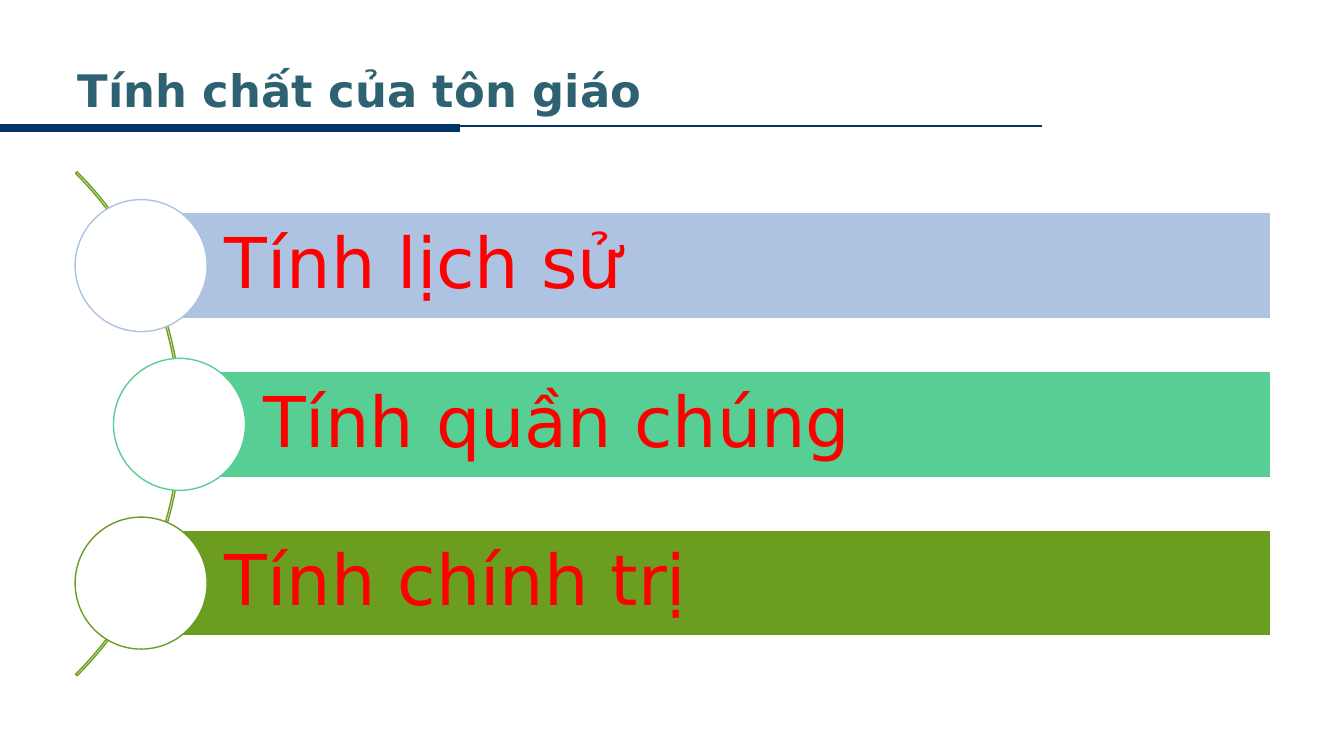
"""Build a slide listing the three characteristics of religion."""
from lxml import etree
from pptx import Presentation
from pptx.dml.color import RGBColor
from pptx.enum import shapes, text
from pptx.oxml import ns
from pptx.util import Inches, Pt

TITLE = "Tính chất của tôn giáo"
TRAITS = [
    ("Tính lịch sử", "AEC2E1", 1.4),
    ("Tính quần chúng", "57CF94", 1.78),
    ("Tính chính trị", "6B9D21", 1.4),
]
RULES = [(10.33, 1.25, 1.5), (4.56, 1.27, 6)]
NAVY, TEAL, GREEN, RED, WHITE = "003366", "2E6272", "6B9D21", "FF0000", "FFFFFF"
FONT = "DejaVu Sans"
FIRST_TOP, PITCH, BAR_HEIGHT, BAR_RIGHT = 2.11, 1.575, 1.05, 12.6
CIRCLE = 1.31
TITLE_FRAME = {
    "vertical_anchor": text.MSO_ANCHOR.MIDDLE,
    "auto_size": text.MSO_AUTO_SIZE.NONE,
    "word_wrap": True,
}
BAR_FRAME = TITLE_FRAME | {
    "margin_left": Inches(0.83),
    "margin_right": Inches(0.14),
    "margin_top": Inches(0.14),
    "margin_bottom": Inches(0.14),
}


def color(value):
    return RGBColor.from_string(value)


def assign(target, values):
    for name, value in values.items():
        setattr(target, name, value)


def write(shape, words, frame_format, size, ink, bold=False):
    frame = shape.text_frame
    assign(frame, frame_format)
    para = frame.paragraphs[0]
    para.alignment = text.PP_ALIGN.LEFT
    span = para.add_run()
    span.text = words
    assign(span.font, {"name": FONT, "size": Pt(size), "bold": bold})
    span.font.color.rgb = color(ink)
    return para


def add_outlined(page, kind, frame, fill, line):
    shape = page.shapes.add_shape(kind, *map(Inches, frame))
    shape.shadow.inherit = False
    if fill:
        shape.fill.solid()
        shape.fill.fore_color.rgb = color(fill)
    else:
        shape.fill.background()
    shape.line.color.rgb = color(line)
    shape.line.width = Pt(1)
    return shape


def add_rule(page, right, top, width):
    rule = page.shapes.add_connector(
        shapes.MSO_CONNECTOR.STRAIGHT, 0, Inches(top), Inches(right), Inches(top))
    rule.line.color.rgb = color(NAVY)
    rule.line.width = Pt(width)
    etree.SubElement(rule._element.spPr, ns.qn("a:effectLst"))


def add_trait(page, index, words, tint, left):
    kinds = shapes.MSO_SHAPE
    top = FIRST_TOP + index * PITCH
    bar = add_outlined(page, kinds.RECTANGLE,
                       (left, top, BAR_RIGHT - left, BAR_HEIGHT), tint, WHITE)
    para = write(bar, words, BAR_FRAME, 50, RED)
    para.line_spacing = 0.9
    circle_top = top + (BAR_HEIGHT - CIRCLE) / 2
    add_outlined(page, kinds.OVAL,
                 (left - CIRCLE / 2, circle_top, CIRCLE, CIRCLE), WHITE, tint)


def main():
    deck = Presentation()
    assign(deck, {"slide_width": Inches(13.33), "slide_height": Inches(7.5)})
    page = deck.slides.add_slide(deck.slide_layouts[5])
    for rule in RULES:
        add_rule(page, *rule)

    title = page.shapes.title
    assign(title, {"left": Inches(0.67), "top": Inches(0.58),
                   "width": Inches(11.22), "height": Inches(0.62)})
    write(title, TITLE, TITLE_FRAME, 32, TEAL, bold=True)

    arc = add_outlined(page, shapes.MSO_SHAPE.BLOCK_ARC,
                       (-5.27, 0.67, 7.07, 7.07), None, GREEN)
    for index, value in enumerate((189, 27, 0.003)):
        arc.adjustments[index] = value
    for index, trait in enumerate(TRAITS):
        add_trait(page, index, *trait)
    deck.save("out.pptx")


if __name__ == "__main__":
    main()
